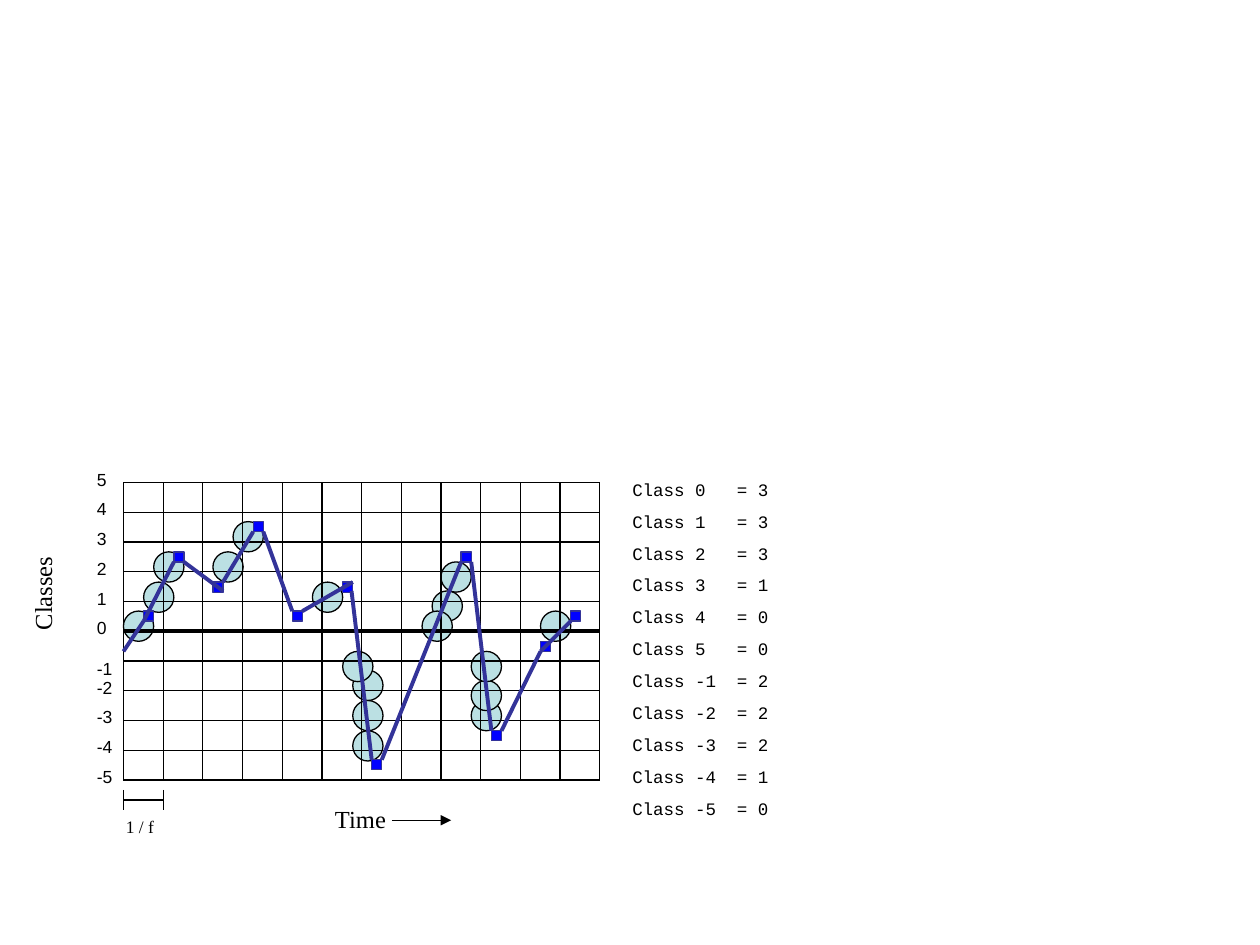
from lxml.etree import SubElement
from pptx import Presentation
from pptx.dml.color import RGBColor
from pptx.enum.shapes import MSO_CONNECTOR, MSO_SHAPE
from pptx.enum.text import MSO_AUTO_SIZE
from pptx.oxml.ns import qn
from pptx.util import Inches, Pt

prs = Presentation()
prs.slide_width, prs.slide_height = Inches(10), Inches(7.5)
s = prs.slides.add_slide(prs.slide_layouts[6])
rgb = RGBColor.from_string


def add_line(x1, y1, x2, y2, color="000000", width=0.75):
    c = s.shapes.add_connector(MSO_CONNECTOR.STRAIGHT, Inches(x1), Inches(y1), Inches(x2), Inches(y2))
    c.line.color.rgb = rgb(color)
    c.line.width = Pt(width)
    SubElement(c._element.spPr, qn("a:effectLst"))
    return c


def add_text(x, y, w, h, lines, font, size, wrap=True):
    sp = s.shapes.add_textbox(Inches(x), Inches(y), Inches(w), Inches(h))
    tf = sp.text_frame
    tf.word_wrap = wrap
    tf.auto_size = MSO_AUTO_SIZE.SHAPE_TO_FIT_TEXT
    for i, line in enumerate(lines):
        p = tf.add_paragraph() if i else tf.paragraphs[0]
        p.text = line
        if i:
            p.space_before = Pt(6.2)
        if "\t" in line:
            tabs = SubElement(p._p.get_or_add_pPr(), qn("a:tabLst"))
            SubElement(tabs, qn("a:tab"), pos=str(Inches(0.83)), algn="l")
        p.font.name = font
        p.font.size = Pt(size)
        p.font.color.rgb = rgb("000000")
    return sp


left, right, top, bottom = 0.98, 4.76, 3.83, 6.19
columns, rows = 12, 10
col_w = (right - left) / columns
row_h = (bottom - top) / rows

crossings = [
    (1.69, 4.38), (4.29, 4.85), (3.74, 5.56), (3.74, 5.4), (2.8, 5.8), (2.8, 5.32),
    (2.8, 5.56), (2.72, 5.17), (1.22, 4.38), (1.14, 4.62), (3.43, 4.69), (2.48, 4.62),
    (0.98, 4.85), (3.74, 5.17), (3.5, 4.46), (3.35, 4.85), (1.85, 4.14),
]
markers = [
    (1.14, 4.85), (1.38, 4.38), (1.69, 4.62), (2.01, 4.14), (2.32, 4.85), (2.72, 4.62),
    (2.95, 6.03), (3.66, 4.38), (3.9, 5.8), (4.29, 5.09), (4.53, 4.85),
]
segments = [
    (0.98, 5.17, 1.14, 4.93), (1.14, 4.93, 1.38, 4.46), (1.46, 4.46, 1.77, 4.69),
    (1.77, 4.62, 2.01, 4.22), (2.09, 4.22, 2.32, 4.85), (2.4, 4.85, 2.8, 4.62),
    (2.79, 4.69, 2.95, 6.03), (3.03, 6.03, 3.66, 4.46), (3.74, 4.46, 3.9, 5.8),
    (3.98, 5.8, 4.29, 5.17), (4.29, 5.17, 4.53, 4.93),
]

for places, kind, size, fill, outline in [
    (crossings, MSO_SHAPE.OVAL, 0.24, "BBE0E3", "000000"),
    (markers, MSO_SHAPE.RECTANGLE, 0.08, "0000FF", "333399"),
]:
    for x, y in places:
        sp = s.shapes.add_shape(kind, Inches(x), Inches(y), Inches(size), Inches(size))
        sp.shadow.inherit = False
        sp.fill.solid()
        sp.fill.fore_color.rgb = rgb(fill)
        sp.line.color.rgb = rgb(outline)
        sp.line.width = Pt(0.75)
    if kind == MSO_SHAPE.OVAL:
        for i in range(columns + 1):
            x = left + i * col_w
            add_line(x, bottom, x, top)
        for i in range(rows + 1):
            y = top + i * row_h
            value = 5 - i
            add_line(left, y, right, y, width=0.75 if value else 2.25)
            label_y = 5.17 if value == -1 else y - 0.16
            add_text(0.67, label_y, 0.39, 0.27, [str(value)], "Arial", 10)

for segment in segments:
    add_line(*segment, color="333399", width=2.25)

axis = add_text(-0.11, 4.48, 0.9, 0.34, ["Classes"], "Times New Roman", 14)
axis.rotation = 270
add_text(2.56, 6.33, 0.61, 0.34, ["Time"], "Times New Roman", 14, wrap=False)
arrow = add_line(3.11, 6.51, 3.58, 6.51)
SubElement(arrow.line._get_or_add_ln(), qn("a:tailEnd"), type="triangle")

add_line(left, 6.35, left + col_w, 6.35)
for x in (left, left + col_w):
    add_line(x, 6.27, x, 6.43)
add_text(0.9, 6.43, 0.49, 0.27, ["1 / f"], "Times New Roman", 10)

counts = {0: 3, 1: 3, 2: 3, 3: 1, 4: 0, 5: 0, -1: 2, -2: 2, -3: 2, -4: 1, -5: 0}
add_text(4.92, 3.75, 1.42, 2.81, [f"Class {k}\t= {n}" for k, n in counts.items()], "Courier New", 10)

prs.save("out.pptx")
